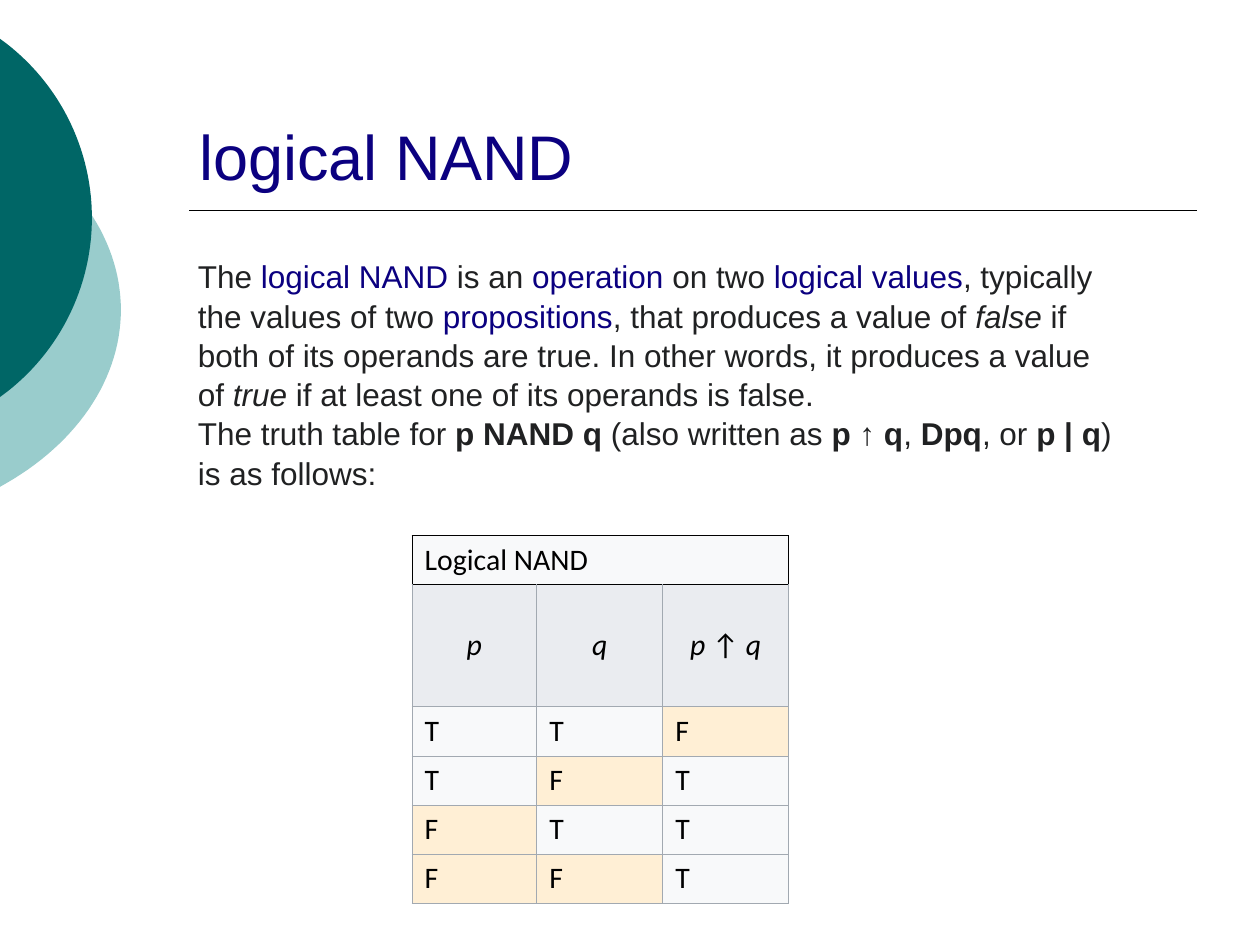
from math import acos, cos, sin

from lxml.etree import SubElement as Sub
from pptx import Presentation
from pptx.dml.color import RGBColor
from pptx.enum.shapes import MSO_CONNECTOR as Link
from pptx.enum.text import MSO_ANCHOR as Anchor, PP_ALIGN as Align
from pptx.oxml.ns import qn
from pptx.util import Inches, Pt

NAVY, INK, BLACK, GRAY = "0B0080", "202122", "000000", "A2A9B1"
BLUE, BOLD, SLANT = {"color": NAVY}, {"bold": True}, {"italic": True}

INTRO = [
    ("The~", {}), ("logical NAND", BLUE), ("~is an~", {}), ("operation", BLUE),
    ("~on two~", {}), ("logical values", BLUE),
    (", typically the values of two~", {}), ("propositions", BLUE),
    (", that produces a value of~", {}), ("false", SLANT),
    ("~if both of its operands are true. In other words, "
     "it produces a value of~", {}),
    ("true", SLANT), ("~if at least one of its operands is false.", {}),
]
USAGE = [
    ("The truth table for~", {}), ("p NAND q", BOLD),
    ("~(also written as~", {}), ("p ↑ q", BOLD), (",~", {}), ("Dpq", BOLD),
    (", or~", {}), ("p | q", BOLD), (") is as follows:", {}),
]
HEADS = [[("p", SLANT)], [("q", SLANT)],
         [("p", SLANT), ("~↑~", {}), ("q", SLANT)]]
TRUTH = ["TTF", "TFT", "FTT", "FFT"]


def tint(code):
    """Turn a hex string into a colour."""
    return RGBColor.from_string(code)


def write(para, text, font="Arial", size=18, color=INK, bold=False, italic=False):
    """Add a formatted run, with ~ as a fixed space."""
    run = para.add_run()
    run.text = text.replace("~", chr(160))
    face = run.font
    face.name, face.size = font, Pt(size)
    face.bold, face.italic = bold, italic
    face.color.rgb = tint(color)


def edge(cell, side, color):
    """Draw one border of a cell."""
    line = Sub(cell._tc.get_or_add_tcPr(), qn("a:ln" + side), w=str(Pt(0.5)))
    Sub(Sub(line, qn("a:solidFill")), qn("a:srgbClr"), val=color)


class Deck:
    """Hold the style and the current slide."""

    def __init__(self):
        """Open a deck with one title-only slide."""
        self.show = Presentation()
        self.show.slide_width, self.show.slide_height = Inches(10), Inches(7.5)
        self.slide = self.show.slides.add_slide(self.show.slide_layouts[5])
        self.shapes = self.slide.shapes

    def disc(self, x, y, wide, high, color):
        """Draw the part of an ellipse right of the slide edge."""
        end, steps = acos(-x / wide), 60
        turns = [end * (2 * i / steps - 1) for i in range(steps + 1)]
        dots = [(Inches(x + wide * cos(t)), Inches(y + high * sin(t)))
                for t in turns]
        pen = self.shapes.build_freeform(*dots[0])
        pen.add_line_segments(dots[1:], close=True)
        shape = pen.convert_to_shape()
        shape.shadow.inherit = False
        shape.fill.solid()
        shape.fill.fore_color.rgb = tint(color)
        shape.line.fill.background()

    def rule(self, x, y, end):
        """Draw a level line."""
        line = self.shapes.add_connector(
            Link.STRAIGHT, Inches(x), Inches(y), Inches(end), Inches(y))
        line.line.color.rgb = tint(BLACK)
        line.line.width = Pt(0.96)
        Sub(line._element.spPr, qn("a:effectLst"))

    def frame(self, shape, anchor):
        """Clear the margins of a text shape."""
        frame = shape.text_frame
        frame.word_wrap, frame.vertical_anchor = True, anchor
        frame.margin_left = frame.margin_right = 0
        frame.margin_top = frame.margin_bottom = 0
        return frame

    def title(self, text, x, y, wide, high):
        """Place the title."""
        shape = self.shapes.title
        shape.left, shape.top = Inches(x), Inches(y)
        shape.width, shape.height = Inches(wide), Inches(high)
        para = self.frame(shape, Anchor.BOTTOM).paragraphs[0]
        para.alignment = Align.LEFT
        write(para, text, size=36, color=NAVY)

    def body(self, paras, x, y, wide, high):
        """Place paragraphs of mixed runs."""
        box = self.shapes.add_textbox(
            Inches(x), Inches(y), Inches(wide), Inches(high))
        frame = self.frame(box, Anchor.TOP)
        for i, runs in enumerate(paras):
            para = frame.add_paragraph() if i else frame.paragraphs[0]
            para.line_spacing = 1.04
            for text, style in runs:
                write(para, text, **style)

    def cell(self, cell, runs, fill, lines, align=Align.LEFT):
        """Fill and border one cell."""
        for side, color in zip("LRTB", lines):
            edge(cell, side, color)
        cell.fill.solid()
        cell.fill.fore_color.rgb = tint(fill)
        cell.vertical_anchor = Anchor.MIDDLE
        para = cell.text_frame.paragraphs[0]
        para.alignment = align
        for text, style in runs:
            write(para, text, font="Calibri", size=17, color=BLACK, **style)

    def table(self, name, heads, rows, x, y):
        """Draw a truth table under a merged caption row."""
        wides, highs = [0.99, 1, 1], [0.39, 0.97] + [0.39] * len(rows)
        grid = self.shapes.add_table(
            len(highs), len(wides), Inches(x), Inches(y),
            Inches(sum(wides)), Inches(sum(highs))).table
        for col, wide in zip(grid.columns, wides):
            col.width = Inches(wide)
        for row, high in zip(grid.rows, highs):
            row.height = Inches(high)
        grid.cell(0, 0).merge(grid.cell(0, len(wides) - 1))
        for c, head in enumerate(heads):
            self.cell(grid.cell(0, c), [] if c else [(name, {})],
                      "F8F9FA", [BLACK] * 4)
            self.cell(grid.cell(1, c), head, "EAECF0",
                      [GRAY, GRAY, BLACK, GRAY], Align.CENTER)
            for r, row in enumerate(rows, 2):
                fill = "FFEFD5" if row[c] == "F" else "F8F9FA"
                self.cell(grid.cell(r, c), [(row[c], {})], fill, [GRAY] * 4)


def main():
    """Build the slide and save it."""
    deck = Deck()
    deck.disc(-1.42, 2.46, 2.38, 1.75, "99CCCC")
    deck.disc(-1.02, 1.73, 1.75, 1.75, "006666")
    deck.rule(1.5, 1.67, 9.5)
    deck.title("logical NAND", 1.58, 0.9, 4.34, 0.63)
    deck.body([INTRO, USAGE], 1.57, 2.03, 7.35, 2.42)
    deck.table("Logical NAND", HEADS, TRUTH, 3.27, 4.25)
    deck.show.save("out.pptx")


if __name__ == "__main__":
    main()
